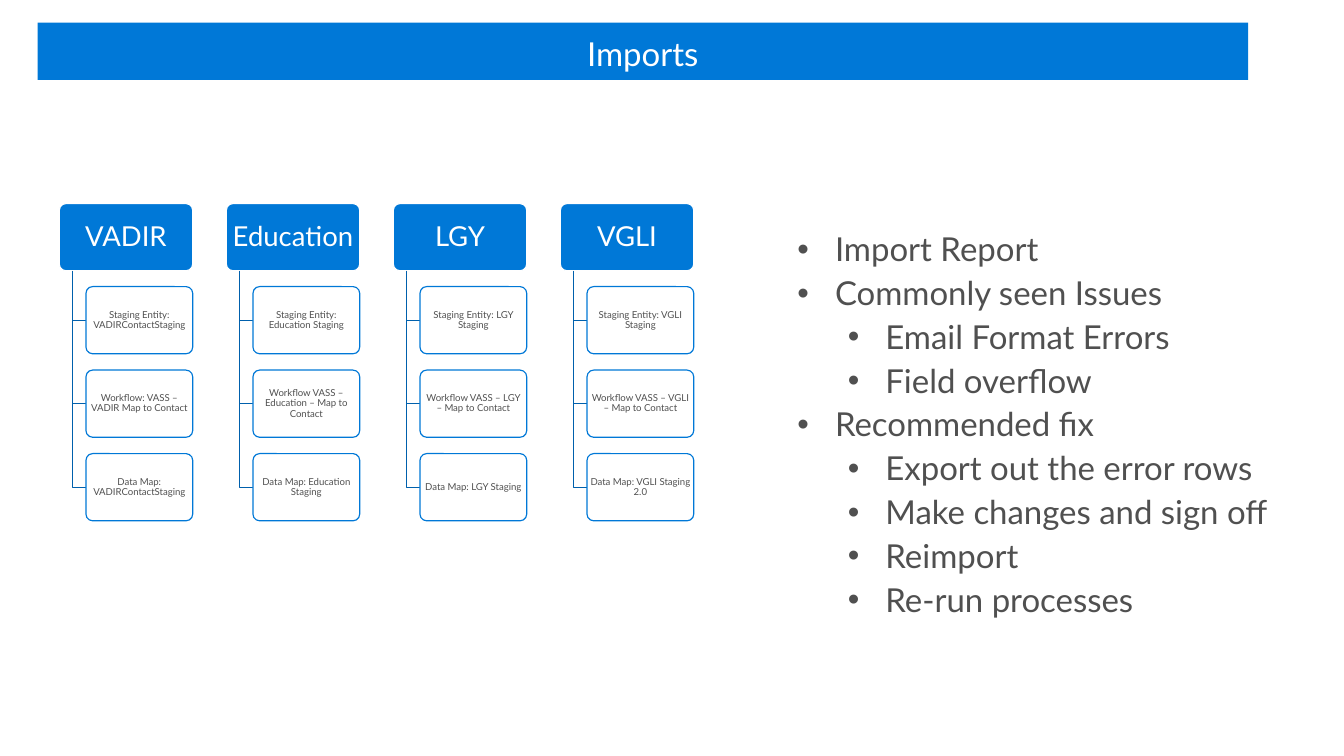
"""Build the Imports slide: four import trees beside a bullet list."""
from lxml import etree
from pptx import Presentation
from pptx.dml.color import RGBColor
from pptx.enum import shapes, text
from pptx.oxml import ns
from pptx.util import Inches, Pt

BLUE = RGBColor(0x00, 0x78, 0xD7)
NAVY = RGBColor(0x00, 0x60, 0xAC)
GREY = RGBColor(0x50, 0x50, 0x50)
WHITE = RGBColor(0xFF, 0xFF, 0xFF)
CENTER = text.PP_ALIGN.CENTER
TOP, MIDDLE = text.MSO_ANCHOR.TOP, text.MSO_ANCHOR.MIDDLE

trees = {
    "VADIR": ["Staging Entity: VADIRContactStaging",
              "Workflow: VASS – VADIR Map to Contact",
              "Data Map: VADIRContactStaging"],
    "Education": ["Staging Entity: Education Staging",
                  "Workflow VASS – Education – Map to Contact",
                  "Data Map: Education Staging"],
    "LGY": ["Staging Entity: LGY Staging",
            "Workflow VASS – LGY – Map to Contact",
            "Data Map: LGY Staging"],
    "VGLI": ["Staging Entity: VGLI Staging",
             "Workflow VASS – VGLI – Map to Contact",
             "Data Map: VGLI Staging 2.0"],
}
points = [
    (0, "Import Report"), (0, "Commonly seen Issues"),
    (1, "Email Format Errors"), (1, "Field overflow"),
    (0, "Recommended fix"), (1, "Export out the error rows"),
    (1, "Make changes and sign off"), (1, "Reimport"),
    (1, "Re-run processes"),
]


def write(shape, lines, size, color, align, anchor, inset):
    frame = shape.text_frame
    frame.text = "\n".join(lines)
    look = {"word_wrap": True, "auto_size": text.MSO_AUTO_SIZE.NONE,
            "vertical_anchor": anchor,
            "margin_left": Inches(inset[0]), "margin_right": Inches(inset[0]),
            "margin_top": Inches(inset[1]), "margin_bottom": Inches(inset[1])}
    for key, value in look.items():
        setattr(frame, key, value)
    for para in frame.paragraphs:
        para.alignment = align
        para.line_spacing = 0.9
        para.space_before = Pt(0)
        style = {"name": "Lato", "size": Pt(size)}
        for key, value in style.items():
            setattr(para.runs[0].font, key, value)
        para.runs[0].font.color.rgb = color
    return frame.paragraphs


def add_card(group, left, top, width, fill, line):
    card = group.shapes.add_shape(
        shapes.MSO_SHAPE.ROUNDED_RECTANGLE,
        Inches(left), Inches(top), Inches(width), Inches(0.68))
    card.adjustments[0] = 0.1
    card.shadow.inherit = False
    card.fill.solid()
    card.fill.fore_color.rgb = fill
    card.line.color.rgb = line
    card.line.width = Pt(0.85)
    return card


deck = Presentation()
deck.slide_width, deck.slide_height = Inches(13.6), Inches(7.65)
slide = deck.slides.add_slide(deck.slide_layouts[5])

title = slide.shapes.title
place = {"left": 0.38, "top": 0.23, "width": 12.25, "height": 0.58}
for key, value in place.items():
    setattr(title, key, Inches(value))
title.fill.solid()
title.fill.fore_color.rgb = BLUE
write(title, ["Imports"], 24, WHITE, CENTER, TOP, (0.2, 0.16))

chart = slide.shapes.add_group_shape()
for col, (head, steps) in enumerate(trees.items()):
    left = 0.6 + 1.69 * col
    root = add_card(chart, left, 2.06, 1.35, BLUE, WHITE)
    write(root, [head], 20, WHITE, CENTER, MIDDLE, (0.04, 0.03))
    for row, step in enumerate(steps):
        top = 2.9 + 0.845 * row
        trunk, mid = Inches(left + 0.135), Inches(top + 0.34)
        pen = chart.shapes.build_freeform(trunk, Inches(2.74))
        pen.add_line_segments(
            [(trunk, mid), (Inches(left + 0.27), mid)], close=False)
        elbow = pen.convert_to_shape()
        elbow.shadow.inherit = False
        elbow.fill.background()
        elbow.line.color.rgb = NAVY
        elbow.line.width = Pt(0.85)

        card = add_card(chart, left + 0.27, top, 1.08, WHITE, BLUE)
        tint = card.fill._xPr.find(".//" + ns.qn("a:srgbClr"))
        etree.SubElement(tint, ns.qn("a:alpha"), val="90000")
        write(card, [step], 7, GREY, CENTER, MIDDLE, (0.01, 0.01))

notes = slide.shapes.add_textbox(
    Inches(7.87), Inches(2.2), Inches(5.2), Inches(4.63))
paras = write(notes, [line for level, line in points], 24, GREY,
              text.PP_ALIGN.LEFT, TOP, (0.2, 0.16))
for para, (level, line) in zip(paras, points):
    para.level = level
    para.space_after = Pt(6)
    props = para._p.get_or_add_pPr()
    props.set("marL", str(Inches(0.38 + 0.51 * level)))
    props.set("indent", str(Inches(-0.38)))
    etree.SubElement(props, ns.qn("a:buFont"), typeface="Arial")
    etree.SubElement(props, ns.qn("a:buChar"), char="•")

deck.save("out.pptx")
